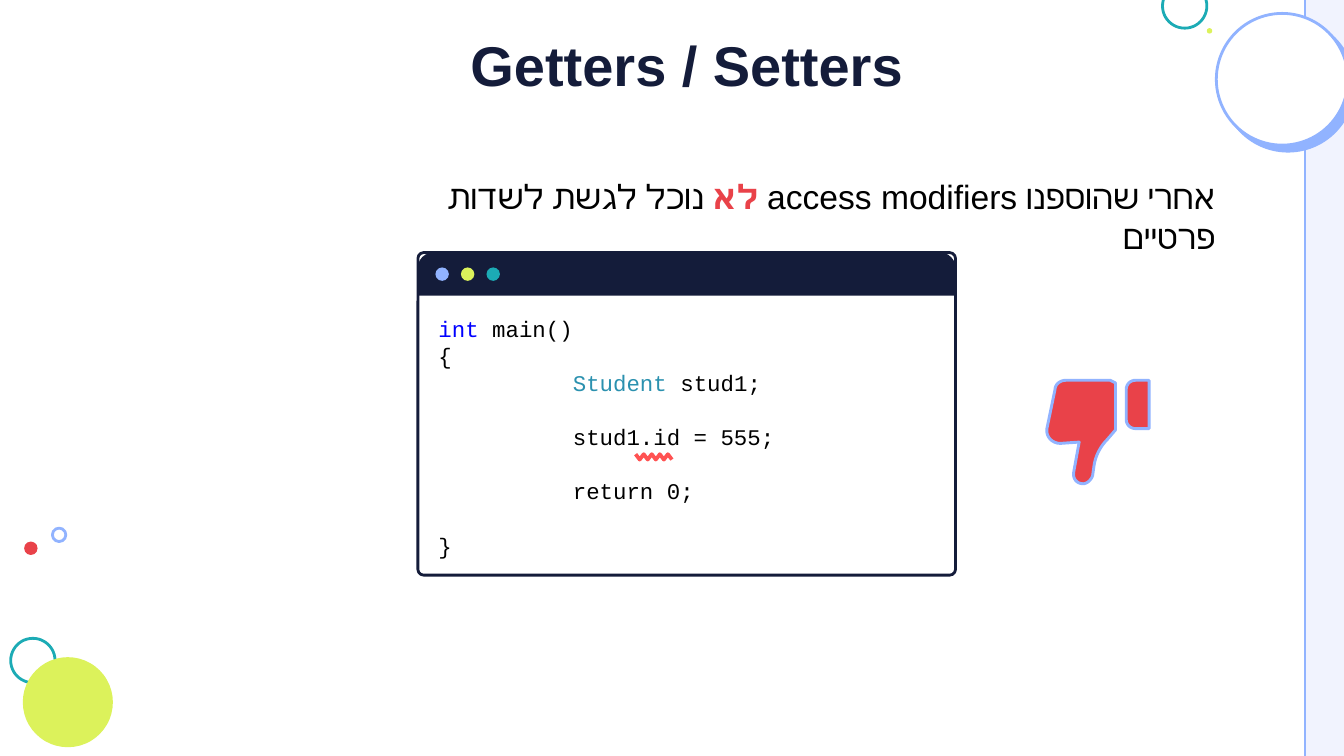
from dataclasses import dataclass
from typing import NamedTuple, Optional

from lxml.etree import SubElement
from pptx import Presentation
from pptx.dml.color import RGBColor
from pptx.enum.shapes import MSO_CONNECTOR, MSO_SHAPE
from pptx.enum.text import MSO_ANCHOR, PP_ALIGN
from pptx.oxml.ns import qn
from pptx.util import Inches, Pt


@dataclass(frozen=True)
class Theme:
    navy: str = "141C3A"
    periwinkle: str = "91B3FF"
    pale: str = "F1F3FE"
    teal: str = "1CABB5"
    lime: str = "DCF25B"
    red: str = "E94249"
    error: str = "FF5252"
    keyword: str = "0000FF"
    type_name: str = "2B91AF"
    white: str = "FFFFFF"
    black: str = "000000"
    sans: str = "Arial"
    mono: str = "Courier New"
    title_size: float = 30
    body_size: float = 18
    code_size: float = 12
    code_pitch: float = 14.5
    outline: float = 1.5


THEME = Theme()
SLIDE_WIDTH = 10
SLIDE_HEIGHT = SLIDE_WIDTH * 9 / 16


class Circle(NamedTuple):
    left: float
    top: float
    diameter: float
    fill: Optional[str] = None
    line: Optional[str] = None


class Span(NamedTuple):
    text: str
    color: str = THEME.black
    bold: bool = False


class CodeLine(NamedTuple):
    spans: tuple[Span, ...]
    gap_before: bool = False


BUBBLES = (
    Circle(8.65, -0.12, 0.33, line=THEME.teal),
    Circle(0.08, 4.75, 0.33, line=THEME.teal),
    Circle(0.17, 4.89, 0.67, fill=THEME.lime),
    Circle(0.18, 4.03, 0.1, fill=THEME.red),
    Circle(0.39, 3.93, 0.1, line=THEME.periwinkle),
    Circle(8.98, 0.21, 0.04, fill=THEME.lime),
)
BADGE = Circle(9.05, 0.1, 0.98, THEME.white, THEME.periwinkle)
WINDOW_BUTTONS = (THEME.periwinkle, THEME.lime, THEME.teal)
CODE = (
    CodeLine((Span("int", THEME.keyword), Span(" main()"))),
    CodeLine((Span("{"),)),
    CodeLine((Span("\t"), Span("Student", THEME.type_name), Span(" stud1;"))),
    CodeLine((Span("\tstud1.id = 555;"),), True),
    CodeLine((Span("\treturn 0;"),), True),
    CodeLine((Span("}"),), True),
)
MESSAGE = (
    Span("אחרי שהוספנו access modifiers "),
    Span("לא", THEME.red, True),
    Span(" נוכל לגשת לשדות פרטיים"),
)
CUFF = (
    (8.55, 2.83), (8.45, 2.83), (8.41, 2.83, 8.38, 2.86, 8.38, 2.9),
    (8.38, 3.12), (8.38, 3.16, 8.41, 3.19, 8.45, 3.19), (8.55, 3.19),
)
THUMB = (
    (8.3, 3.2), (8.24, 3.27), (8.19, 3.32, 8.15, 3.39, 8.14, 3.47),
    (8.13, 3.54), (8.12, 3.57, 8.09, 3.6, 8.06, 3.6),
    (8.01, 3.6, 7.98, 3.56, 7.99, 3.51), (8.03, 3.29), (7.89, 3.3),
    (7.83, 3.3, 7.78, 3.25, 7.79, 3.19), (7.85, 2.9),
    (7.85, 2.86, 7.89, 2.83, 7.93, 2.83), (8.21, 2.83),
    (8.22, 2.83, 8.24, 2.83, 8.26, 2.83), (8.3, 2.85),
)
SQUIGGLE = tuple((4.73 + 0.03 * i, 3.42 if i % 2 else 3.38) for i in range(10))


def paint(shape, fill: Optional[str], line: Optional[str], width: float = THEME.outline) -> None:
    shape.shadow.inherit = False
    if fill:
        shape.fill.solid()
        shape.fill.fore_color.rgb = RGBColor.from_string(fill)
    else:
        shape.fill.background()
    if line:
        shape.line.color.rgb = RGBColor.from_string(line)
        shape.line.width = Pt(width)
    else:
        shape.line.fill.background()


def add_preset(slide, kind, box: tuple, fill=None, line=None, adjustments: tuple = ()):
    shape = slide.shapes.add_shape(kind, *map(Inches, box))
    for i, value in enumerate(adjustments):
        shape.adjustments[i] = value
    paint(shape, fill, line)
    return shape


def add_circle(slide, circle: Circle):
    box = (circle.left, circle.top, circle.diameter, circle.diameter)
    return add_preset(slide, MSO_SHAPE.OVAL, box, circle.fill, circle.line)


def cast_shadow(shape, color: str, distance: float, degrees: int) -> None:
    effects = shape._element.spPr.find(qn("a:effectLst"))
    shadow = SubElement(effects, qn("a:outerShdw"), blurRad="0", dist=str(Pt(distance)),
                        dir=str(degrees * 60000), algn="bl", rotWithShape="0")
    SubElement(shadow, qn("a:srgbClr"), val=color)


def flatten(segments: tuple, steps: int = 8) -> list[tuple[float, float]]:
    points = [segments[0]]
    for segment in segments[1:]:
        if len(segment) == 2:
            points.append(segment)
            continue
        curve = (points[-1], segment[:2], segment[2:4], segment[4:])
        for step in range(1, steps + 1):
            t = step / steps
            weights = ((1 - t) ** 3, 3 * t * (1 - t) ** 2, 3 * t * t * (1 - t), t ** 3)
            points.append(tuple(sum(w * p[axis] for w, p in zip(weights, curve)) for axis in (0, 1)))
    return points


def add_outline(slide, segments: tuple, fill: Optional[str], line: str, width: float) -> None:
    start, *rest = [(Inches(x), Inches(y)) for x, y in flatten(segments)]
    builder = slide.shapes.build_freeform(*start)
    builder.add_line_segments(rest, close=fill is not None)
    paint(builder.convert_to_shape(), fill, line, width)


def add_span(paragraph, span: Span, font: str, size: float) -> None:
    run = paragraph.add_run()
    run.text = span.text
    run.font.name = font
    run.font.size = Pt(size)
    run.font.bold = span.bold
    run.font.color.rgb = RGBColor.from_string(span.color)


def write_rtl(paragraph, spans: tuple[Span, ...], alignment, size: float) -> None:
    paragraph.alignment = alignment
    paragraph._p.get_or_add_pPr().set("rtl", "1")
    for span in spans:
        add_span(paragraph, span, THEME.sans, size)


def set_insets(frame, left: float, top: float, right: float, bottom: float) -> None:
    frame.margin_left, frame.margin_top = Inches(left), Inches(top)
    frame.margin_right, frame.margin_bottom = Inches(right), Inches(bottom)


def add_sidebar(slide) -> None:
    add_preset(slide, MSO_SHAPE.RECTANGLE, (9.71, 0, 0.29, SLIDE_HEIGHT), THEME.pale)
    edge = slide.shapes.add_connector(
        MSO_CONNECTOR.STRAIGHT, *map(Inches, (9.71, 0, 9.71, SLIDE_HEIGHT)))
    edge.line.color.rgb = RGBColor.from_string(THEME.periwinkle)
    edge.line.width = Pt(THEME.outline)
    SubElement(edge._element.spPr, qn("a:effectLst"))


def add_title(slide) -> None:
    title = slide.shapes.title
    title.left, title.top, title.width, title.height = map(Inches, (0.81, 0.23, 8.6, 0.58))
    set_insets(title.text_frame, 0, 0, 0, 0)
    title.text_frame.vertical_anchor = MSO_ANCHOR.TOP
    heading = (Span("Getters / Setters", THEME.navy, True),)
    write_rtl(title.text_frame.paragraphs[0], heading, PP_ALIGN.CENTER, THEME.title_size)


def add_code_window(slide) -> None:
    window = add_preset(slide, MSO_SHAPE.ROUNDED_RECTANGLE, (3.11, 1.88, 4, 2.4),
                        THEME.white, THEME.navy, (0.018,))
    frame = window.text_frame
    frame.word_wrap = True
    frame.vertical_anchor = MSO_ANCHOR.TOP
    set_insets(frame, 0.14, 0.45, 0.14, 0.1)
    for i, code_line in enumerate(CODE):
        paragraph = frame.add_paragraph() if i else frame.paragraphs[0]
        paragraph.alignment = PP_ALIGN.LEFT
        paragraph.line_spacing = Pt(THEME.code_pitch)
        if code_line.gap_before:
            paragraph.space_before = Pt(THEME.code_pitch)
        tabs = SubElement(paragraph._p.get_or_add_pPr(), qn("a:tabLst"))
        SubElement(tabs, qn("a:tab"), pos=str(Inches(1)), algn="l")
        for span in code_line.spans:
            add_span(paragraph, span, THEME.mono, THEME.code_size)
    add_preset(slide, MSO_SHAPE.ROUND_2_SAME_RECTANGLE, (3.11, 1.88, 4, 0.32),
               THEME.navy, adjustments=(0.349, 0))
    for i, color in enumerate(WINDOW_BUTTONS):
        add_circle(slide, Circle(3.24 + 0.19 * i, 1.99, 0.1, color))


def add_message(slide) -> None:
    message = slide.shapes.add_textbox(*map(Inches, (2.67, 1.26, 6.47, 0.4)))
    message.text_frame.word_wrap = True
    write_rtl(message.text_frame.paragraphs[0], MESSAGE, PP_ALIGN.RIGHT, THEME.body_size)


def main() -> None:
    deck = Presentation()
    deck.slide_width, deck.slide_height = Inches(SLIDE_WIDTH), Inches(SLIDE_HEIGHT)
    slide = deck.slides.add_slide(deck.slide_layouts[5])
    add_sidebar(slide)
    for bubble in BUBBLES:
        add_circle(slide, bubble)
    cast_shadow(add_circle(slide, BADGE), THEME.periwinkle, 4.5, 46)
    add_title(slide)
    add_code_window(slide)
    for part in (CUFF, THUMB):
        add_outline(slide, part, THEME.red, THEME.periwinkle, 1.57)
    add_outline(slide, SQUIGGLE, None, THEME.error, 2)
    add_message(slide)
    deck.save("out.pptx")


if __name__ == "__main__":
    main()
